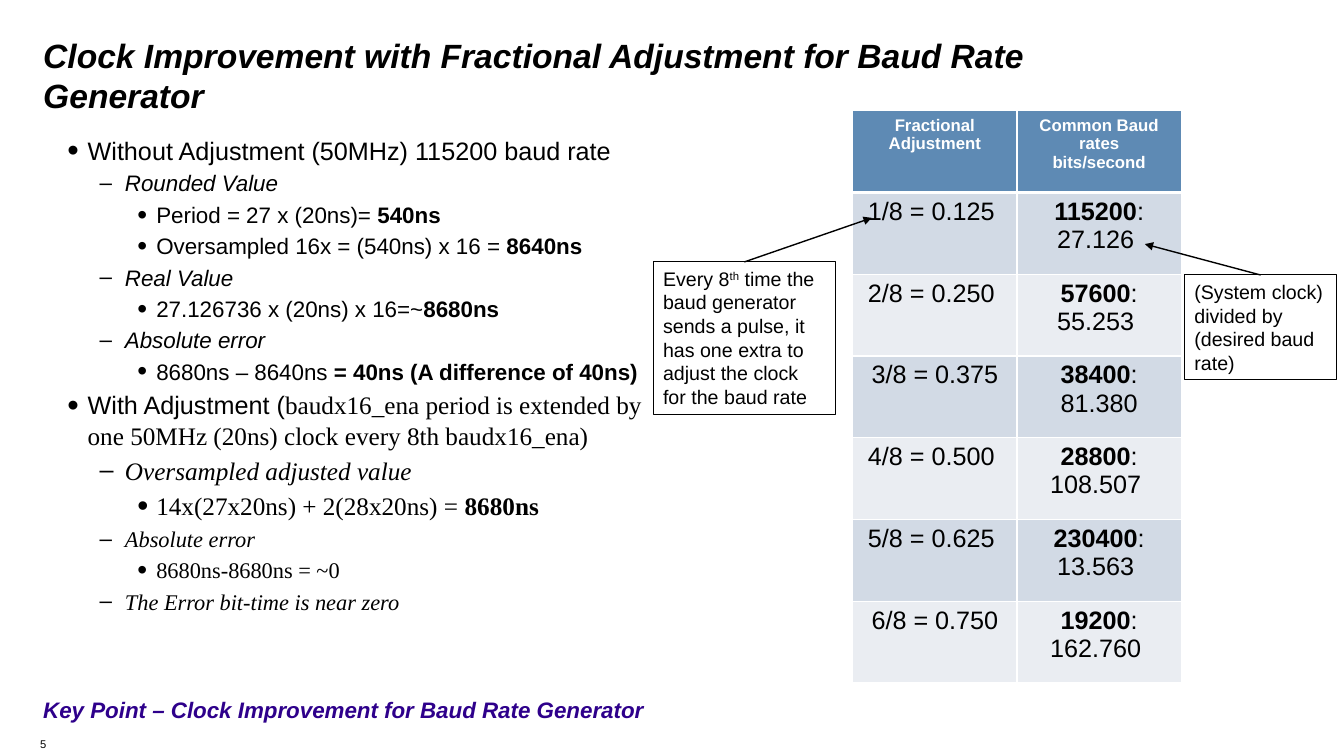
from dataclasses import dataclass

from lxml.etree import SubElement
from pptx import Presentation
from pptx.dml.color import RGBColor
from pptx.enum.shapes import MSO_CONNECTOR, MSO_SHAPE
from pptx.enum.text import MSO_ANCHOR, PP_ALIGN
from pptx.oxml.ns import qn
from pptx.util import Cm, Pt


@dataclass(frozen=True)
class Theme:
    sans: str = "Arial"
    serif: str = "Times New Roman"
    black: str = "000000"
    white: str = "FFFFFF"
    accent: str = "2E008B"
    header: str = "5E8AB4"
    bands: tuple = ("D2DAE5", "EAEDF2")
    title: int = 24
    large: int = 18
    medium: int = 16
    note: int = 14
    heading: int = 12
    number: int = 8


THEME = Theme()


@dataclass(frozen=True)
class Span:
    text: str
    size: int = THEME.medium
    bold: bool = False
    italic: bool = False
    font: str = THEME.sans
    color: str = THEME.black
    raised: bool = False


@dataclass(frozen=True)
class Level:
    indent: float
    hanging: float
    mark: str
    mark_percent: int


@dataclass(frozen=True)
class Point:
    level: int
    spans: tuple


@dataclass(frozen=True)
class Label:
    place: tuple
    span: Span
    top_inset: float = 0.13


@dataclass(frozen=True)
class Note:
    place: tuple
    tip: tuple
    spans: tuple


LEVELS = (Level(0.51, 0.51, "•", 130), Level(1.45, 0.64, "–", 100), Level(2.24, 0.48, "•", 125))


def serif(text: str, size: int = THEME.medium, **style) -> Span:
    return Span(text, size, font=THEME.serif, **style)


POINTS = (
    Point(0, (Span("Without Adjustment (50MHz) 115200 baud rate", THEME.large),)),
    Point(1, (Span("Rounded Value", italic=True),)),
    Point(2, (Span("Period = 27 x (20ns)= "), Span("540ns", bold=True))),
    Point(2, (Span("Oversampled 16x = (540ns) x 16 = "), Span("8640ns", bold=True))),
    Point(1, (Span("Real Value", italic=True),)),
    Point(2, (Span("27.126736 x (20ns) x 16=~"), Span("8680ns", bold=True))),
    Point(1, (Span("Absolute error", italic=True),)),
    Point(2, (Span("8680ns – 8640ns "), Span("= 40ns (A difference of 40ns)", bold=True))),
    Point(0, (Span("With Adjustment (", THEME.large),
              serif("baudx16_ena period is extended by one 50MHz (20ns) clock "
                    "every 8th baudx16_ena)", THEME.large))),
    Point(1, (serif("Oversampled adjusted value", THEME.large, italic=True),)),
    Point(2, (serif("14x(27x20ns) + 2(28x20ns) = ", THEME.large),
              serif("8680ns", THEME.large, bold=True))),
    Point(1, (serif("Absolute error", italic=True),)),
    Point(2, (serif("8680ns-8680ns = ~0"),)),
    Point(1, (serif("The Error bit-time is near zero", italic=True),)),
)

LABELS = (
    Label((0.84, 0.64, 29.29, 2.01),
          Span("Clock Improvement with Fractional Adjustment for Baud Rate Generator",
               THEME.title, bold=True, italic=True), 0.23),
    Label((0.84, 17.4, 31.39, 1.24),
          Span("Key Point – Clock Improvement for Baud Rate Generator",
               bold=True, italic=True, color=THEME.accent)),
    Label((0.76, 18.44, 2.57, 0.61), Span("5", THEME.number)),
)

NOTES = (
    Note((16.46, 6.6, 4.6, 3.84), (21.97, 5.49),
         (Span("Every 8", THEME.note), Span("th", THEME.note, raised=True),
          Span(" time the baud generator sends a pulse, it has one extra to adjust "
               "the clock for the baud rate", THEME.note))),
    Note((29.85, 6.93, 3.84, 2.64), (28.85, 6.15),
         (Span("(System clock) divided by (desired baud rate)", THEME.note),)),
)

HEADINGS = (("Fractional Adjustment",), ("Common Baud rates", "bits/second"))
RATES = (
    ("1/8 = 0.125 ", "115200", ": 27.126 "),
    ("2/8 = 0.250 ", "57600", ": 55.253 "),
    ("3/8 = 0.375", "38400", ": 81.380"),
    ("4/8 = 0.500 ", "28800", ": 108.507 "),
    ("5/8 = 0.625 ", "230400", ": 13.563 "),
    ("6/8 = 0.750", "19200", ": 162.760 "),
)


def color(value: str) -> RGBColor:
    return RGBColor.from_string(value)


def write(para, spans: tuple) -> None:
    for span in spans:
        run = para.add_run()
        run.text = span.text
        font = run.font
        font.name, font.size = span.font, Pt(span.size)
        font.bold, font.italic = span.bold, span.italic
        font.color.rgb = color(span.color)
        if span.raised:
            font._element.set("baseline", "30000")


def add_box(page, place: tuple, top_inset: float = 0.13):
    box = page.shapes.add_textbox(*map(Cm, place))
    box.text_frame.word_wrap = True
    box.text_frame.margin_top = Cm(top_inset)
    return box


def set_bullet(para, level: Level, first: bool) -> None:
    properties = para._p.get_or_add_pPr()
    properties.set("marL", str(Cm(level.indent)))
    properties.set("indent", str(-Cm(level.hanging)))
    if not first:
        spacing = SubElement(properties, qn("a:spcBef"))
        SubElement(spacing, qn("a:spcPct"), val="20000")
    SubElement(properties, qn("a:buSzPct"), val=str(level.mark_percent * 1000))
    SubElement(properties, qn("a:buFont"), typeface=THEME.sans)
    SubElement(properties, qn("a:buChar"), char=level.mark)


def add_points(page) -> None:
    frame = add_box(page, (1.45, 3.2, 15.29, 13.34), 0.2).text_frame
    for index, point in enumerate(POINTS):
        para = frame.add_paragraph() if index else frame.paragraphs[0]
        para.level = point.level
        set_bullet(para, LEVELS[point.level], index == 0)
        write(para, point.spans)


def fill_cell(cell, lines: tuple, fill: str, top: int, bottom: int) -> None:
    properties = cell._tc.get_or_add_tcPr()
    for side, width in (("L", 1), ("R", 1), ("T", top), ("B", bottom)):
        line = SubElement(properties, qn(f"a:ln{side}"), w=str(Pt(width)))
        SubElement(SubElement(line, qn("a:solidFill")), qn("a:srgbClr"), val=THEME.white)
    cell.fill.solid()
    cell.fill.fore_color.rgb = color(fill)
    for index, spans in enumerate(lines):
        para = cell.text_frame.add_paragraph() if index else cell.text_frame.paragraphs[0]
        para.alignment = PP_ALIGN.CENTER
        write(para, spans)


def add_rates(page) -> None:
    rows = len(RATES) + 1
    table = page.shapes.add_table(rows, 2, Cm(21.49), Cm(2.79), Cm(8.28), Cm(2.06 * rows)).table
    table.horz_banding = False
    for column, lines in enumerate(HEADINGS):
        spans = tuple((Span(line, THEME.heading, bold=True, color=THEME.white),) for line in lines)
        fill_cell(table.cell(0, column), spans, THEME.header, 1, 3)
    for row, (fraction, rate, divisor) in enumerate(RATES, start=1):
        cells = ((Span(fraction, THEME.large),),
                 (Span(rate, THEME.large, bold=True), Span(divisor, THEME.large)))
        for column, spans in enumerate(cells):
            fill_cell(table.cell(row, column), (spans,), THEME.bands[(row - 1) % 2],
                      3 if row == 1 else 1, 1)


def add_note(page, note: Note) -> None:
    box = page.shapes.add_shape(MSO_SHAPE.RECTANGLE, *map(Cm, note.place))
    box.shadow.inherit = False
    box.fill.background()
    box.line.color.rgb = color(THEME.black)
    box.line.width = Pt(0.75)
    frame = box.text_frame
    frame.word_wrap = True
    frame.vertical_anchor = MSO_ANCHOR.TOP
    frame.paragraphs[0].alignment = PP_ALIGN.LEFT
    write(frame.paragraphs[0], note.spans)

    # Arrow from the top of the box to the table value
    tip = tuple(map(Cm, note.tip))
    arrow = page.shapes.add_connector(MSO_CONNECTOR.STRAIGHT, box.left, box.top, *tip)
    arrow.begin_connect(box, 0)
    arrow.line.color.rgb = color(THEME.black)
    arrow.line.width = Pt(1)
    SubElement(arrow.line._get_or_add_ln(), qn("a:tailEnd"), type="triangle")
    SubElement(arrow._element.spPr, qn("a:effectLst"))


def main() -> None:
    deck = Presentation()
    deck.slide_width, deck.slide_height = Cm(33.87), Cm(19.05)
    page = deck.slides.add_slide(deck.slide_layouts[6])
    # Title, key point and page number
    for label in LABELS:
        write(add_box(page, label.place, label.top_inset).text_frame.paragraphs[0], (label.span,))
    # Bulleted calculation and table of rates
    add_points(page)
    add_rates(page)
    # Callouts
    for note in NOTES:
        add_note(page, note)
    deck.save("out.pptx")


if __name__ == "__main__":
    main()
